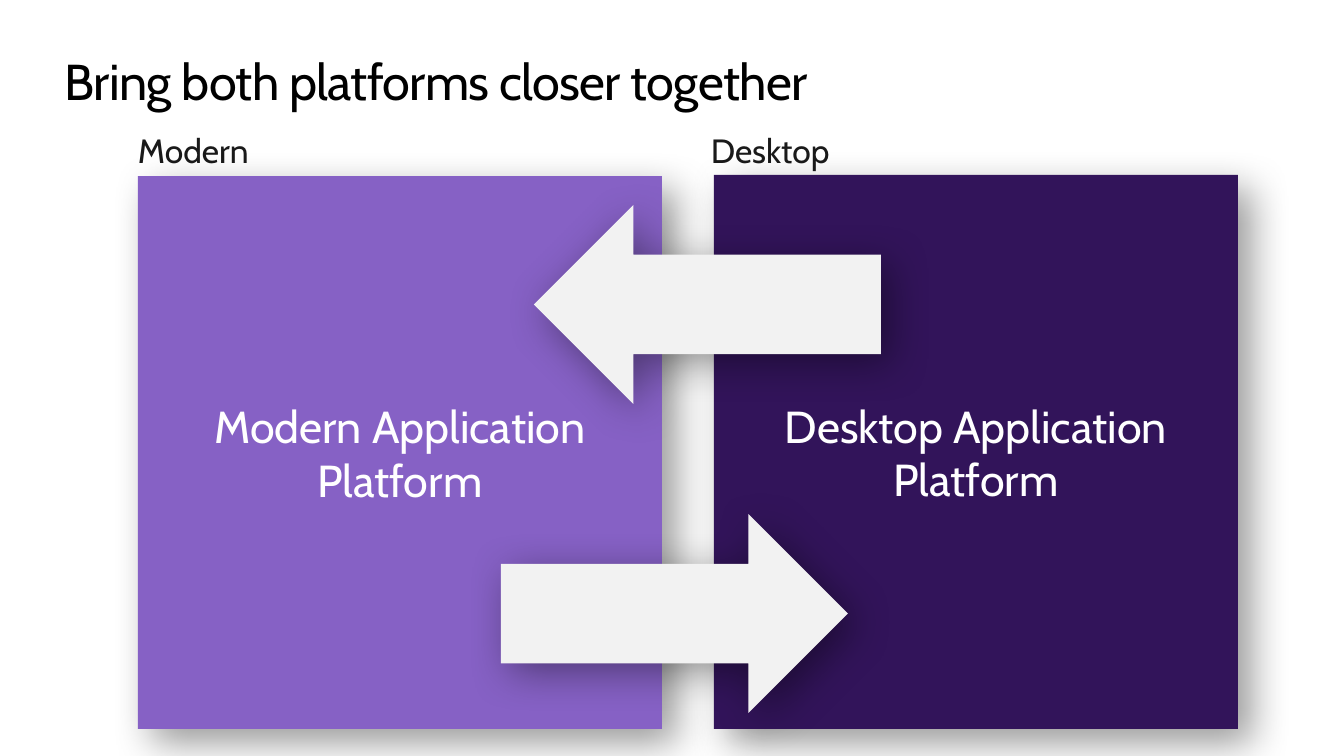
from lxml.etree import SubElement
from pptx import Presentation
from pptx.dml.color import RGBColor
from pptx.enum.shapes import MSO_SHAPE
from pptx.enum.text import MSO_ANCHOR, PP_ALIGN
from pptx.oxml.ns import qn
from pptx.util import Emu, Pt

# Content: lengths in px, boxes as (left, top, width, height)
TITLE = ("Bring both platforms closer together", (65, 50, 1215, 61))
LABELS = [
    ("Modern", (128, 125, 136, 50)),
    ("Desktop", (701, 125, 140, 50)),
]
PLATFORMS = [
    (["Modern Application Platform"], (138, 176, 524, 553), "modern"),
    (["Desktop Application", "Platform"], (714, 175, 524, 554), "desktop"),
]
ARROW_SIZE = (347, 199)
ARROWS = [((501, 514), 180), ((534, 205), 0)]  # left and top, rotation


class Theme:
    font = "Cabin"
    colours = {"title": "000000", "label": "1A1A1A", "on_dark": "FFFFFF",
               "modern": "8661C5", "desktop": "32145A", "arrow": "F2F2F2",
               "shadow": "000000"}
    sizes = {"title": 36, "label": 24, "platform": 32}
    platform_shadow = (29, 14)  # blur and distance in points
    arrow_shadow = (30, 9)


PX = 914400 / 100.8


def px(*values):
    return [Emu(round(v * PX)) for v in values]


def rgb(name):
    return RGBColor.from_string(Theme.colours[name])


def write(tf, lines, size, colour, align=PP_ALIGN.LEFT, spacing=None):
    for i, line in enumerate(lines):
        p = tf.paragraphs[0] if i == 0 else tf.add_paragraph()
        p.alignment = align
        r = p.add_run()
        r.text = line
        r.font.name = Theme.font
        r.font.size = Pt(Theme.sizes[size])
        r.font.color.rgb = rgb(colour)
        if spacing is not None:
            r.font._element.set("spc", str(round(spacing * 100)))


def add_text(s, text, box, style, wrap, margin=None, spacing=None):
    tf = s.shapes.add_textbox(*px(*box)).text_frame
    tf.word_wrap = wrap
    if margin is not None:
        tf.margin_left = tf.margin_top = tf.margin_right = tf.margin_bottom = margin
    write(tf, [text], style, style, spacing=spacing)


def add_block(s, kind, box, fill, shadow):
    sp = s.shapes.add_shape(kind, *px(*box))
    sp.fill.solid()
    sp.fill.fore_color.rgb = rgb(fill)
    sp.line.fill.background()
    sp.shadow.inherit = False
    # Soft shadow to the lower right
    blur, distance = shadow
    effects = sp._element.spPr.find(qn("a:effectLst"))
    outer = SubElement(effects, qn("a:outerShdw"), blurRad=str(Pt(blur)),
                       dist=str(Pt(distance)), dir=str(45 * 60000),
                       algn="tl", rotWithShape="0")
    colour = SubElement(outer, qn("a:srgbClr"), val=Theme.colours["shadow"])
    SubElement(colour, qn("a:alpha"), val="40000")
    return sp


def main():
    prs = Presentation()
    prs.slide_width, prs.slide_height = px(1344, 756)
    s = prs.slides.add_slide(prs.slide_layouts[6])

    # Title and platform labels
    add_text(s, *TITLE, "title", wrap=True, margin=0, spacing=-0.5)
    for text, box in LABELS:
        add_text(s, text, box, "label", wrap=False)

    # Platforms
    for lines, box, fill in PLATFORMS:
        sp = add_block(s, MSO_SHAPE.RECTANGLE, box, fill, Theme.platform_shadow)
        tf = sp.text_frame
        tf.word_wrap = True
        tf.vertical_anchor = MSO_ANCHOR.MIDDLE
        write(tf, lines, "platform", "on_dark", align=PP_ALIGN.CENTER)

    # Arrows between the platforms
    for corner, rotation in ARROWS:
        sp = add_block(s, MSO_SHAPE.LEFT_ARROW, corner + ARROW_SIZE, "arrow",
                       Theme.arrow_shadow)
        sp.rotation = rotation

    prs.save("out.pptx")


if __name__ == "__main__":
    main()
